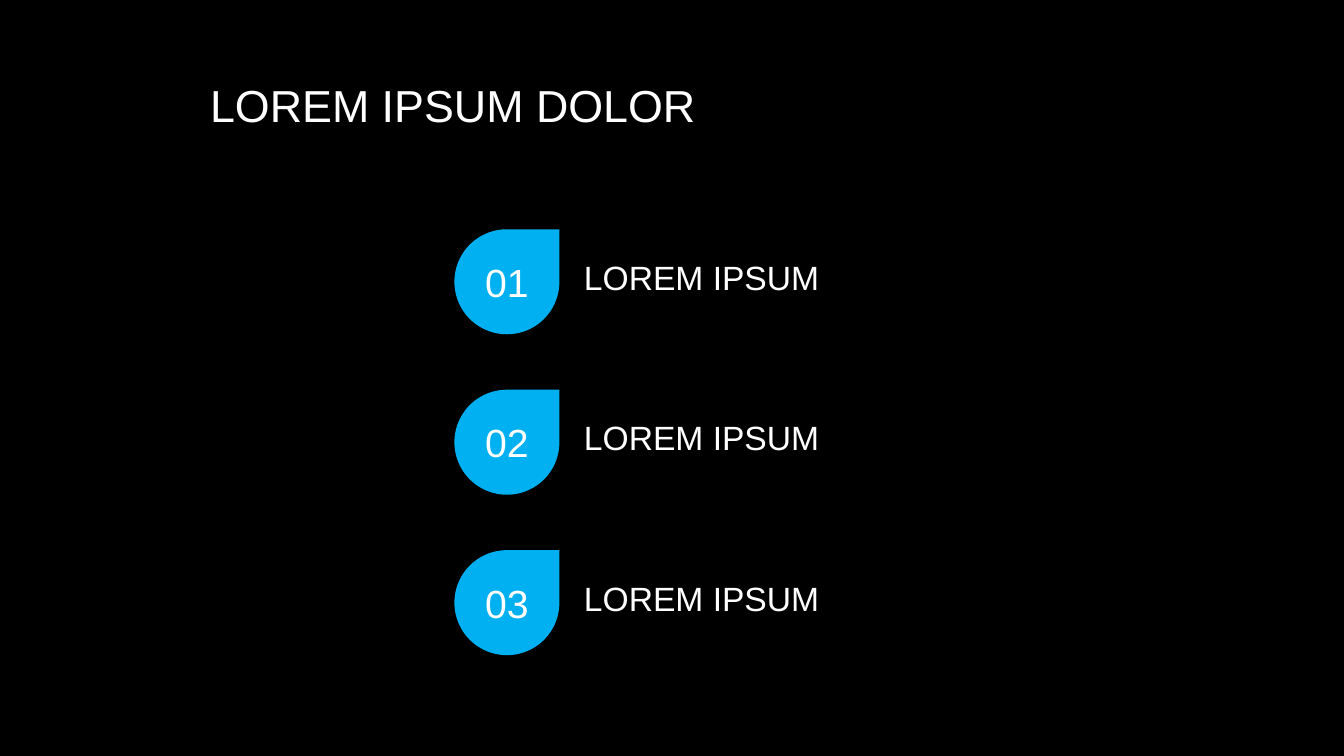
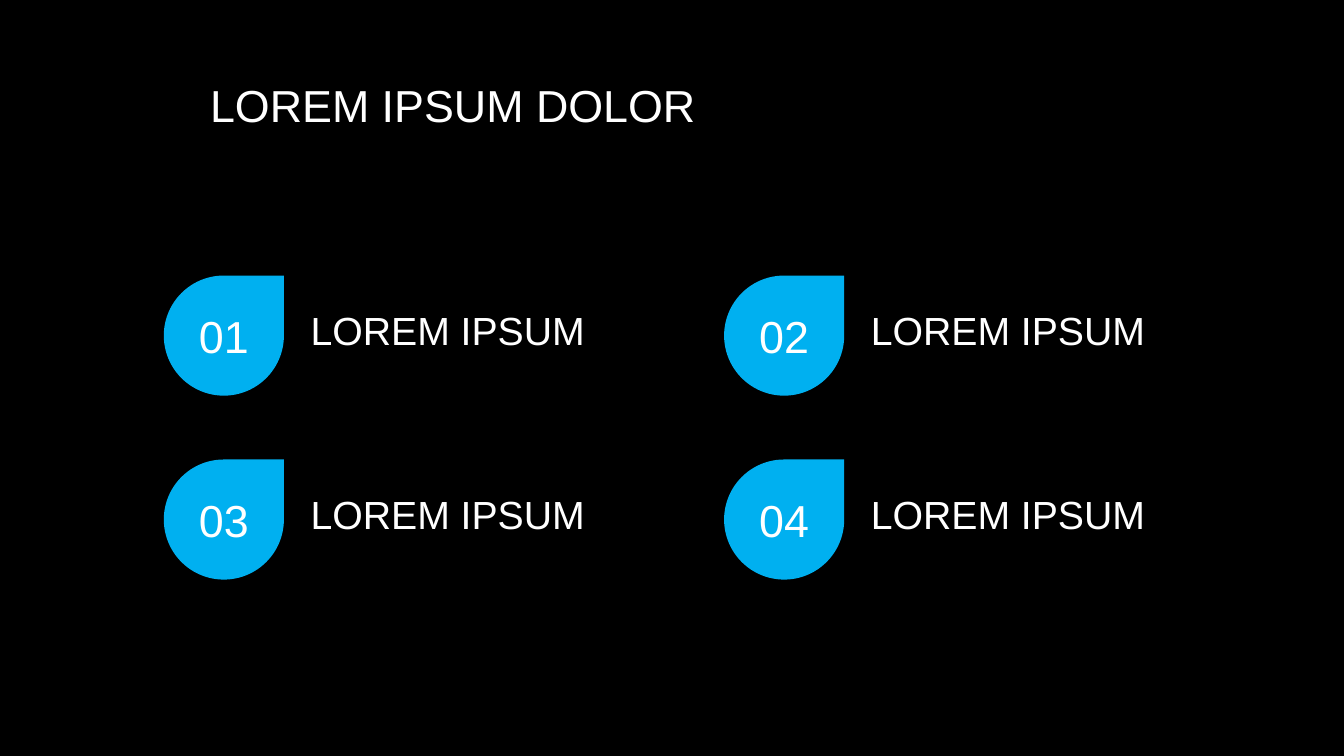
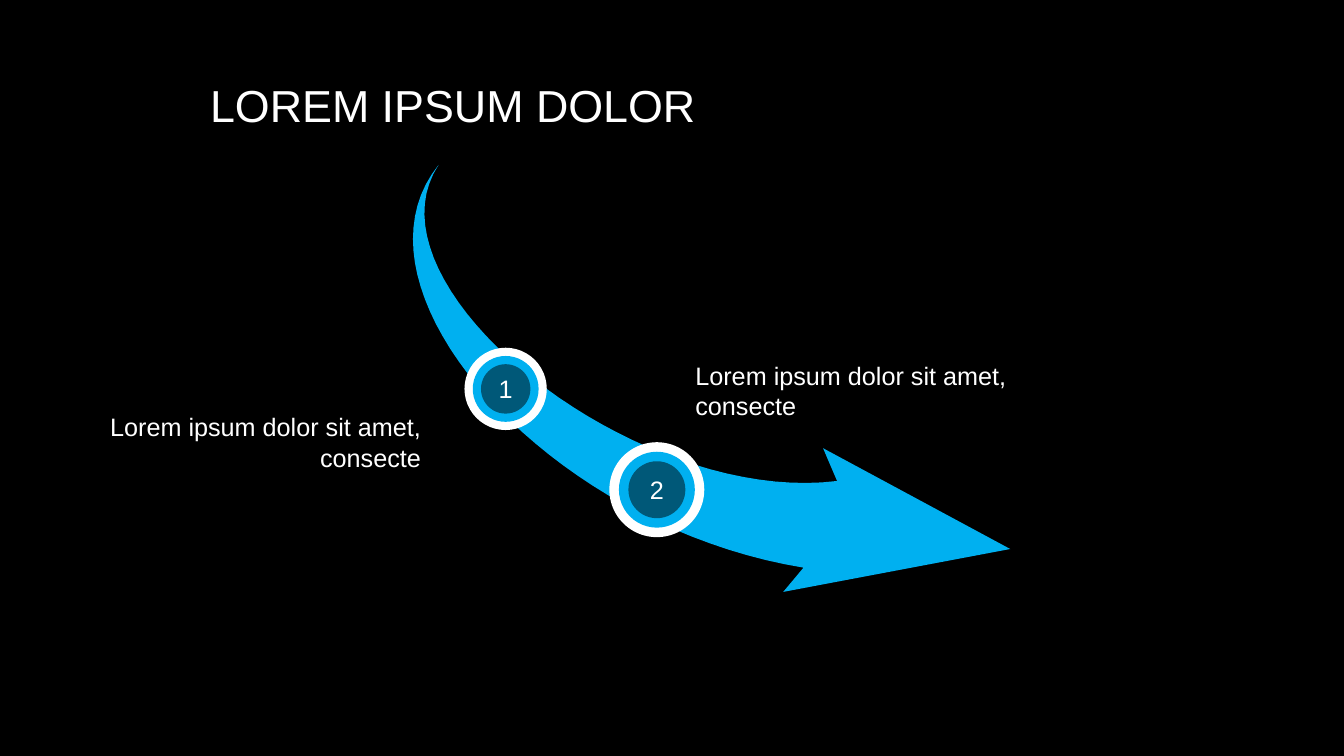
import dataclasses

import pptx
import pptx.dml.color
import pptx.enum.shapes
import pptx.enum.text
import pptx.util

SHAPE = pptx.enum.shapes.MSO_SHAPE
ALIGN = pptx.enum.text.PP_ALIGN
ANCHOR = pptx.enum.text.MSO_ANCHOR

COLUMNS, ROWS = 16, 9
CELL = pptx.util.Inches(13.3333) // COLUMNS


@dataclasses.dataclass(frozen=True)
class Theme:
    font: str = "Arial"
    background: str = "000000"
    text: str = "FFFFFF"
    accent: str = "00B0F0"
    accent_dark: str = "005878"
    title_size: int = 32
    body_size: int = 18


def cells(count):
    """Length of a number of grid cells; cells are square."""
    return pptx.util.Emu(round(count * CELL))


def rgb(value):
    return pptx.dml.color.RGBColor.from_string(value)


def curve(start, control_1, control_2, end, steps=40):
    """Points along a cubic Bezier curve, ends included."""
    points = []
    for step in range(steps + 1):
        t = step / steps
        weights = ((1 - t) ** 3, 3 * t * (1 - t) ** 2, 3 * t ** 2 * (1 - t), t ** 3)
        points.append(tuple(
            sum(weight * value for weight, value in zip(weights, axis))
            for axis in zip(start, control_1, control_2, end)))
    return points


class SlideBuilder:
    """Holds the theme and the current slide; lengths are grid cells."""

    def __init__(self, theme):
        self.theme = theme
        self.deck = pptx.Presentation()
        self.deck.slide_width = cells(COLUMNS)
        self.deck.slide_height = cells(ROWS)
        self.paint(self.deck.slide_master.background, theme.background)
        self.slide = None

    def paint(self, item, color):
        item.fill.solid()
        item.fill.fore_color.rgb = rgb(color)

    def set_text(self, shape, text, size, align=ALIGN.LEFT):
        frame = shape.text_frame
        frame.text = text
        frame.vertical_anchor = ANCHOR.MIDDLE
        frame.word_wrap = True
        frame.auto_size = pptx.enum.text.MSO_AUTO_SIZE.NONE
        para = frame.paragraphs[0]
        para.alignment = align
        para.font.name = self.theme.font
        para.font.size = pptx.util.Pt(size)
        para.font.color.rgb = rgb(self.theme.text)
        return para

    def finish(self, shape, color):
        self.paint(shape, color)
        shape.line.fill.background()
        shape.shadow.inherit = False

    def add_slide(self, title):
        self.slide = self.deck.slides.add_slide(self.deck.slide_layouts[5])
        box = self.slide.shapes.title
        box.left, box.top = cells(2.38), cells(0.42)
        box.width, box.height = cells(6.83), cells(1.74)
        self.set_text(box, title, self.theme.title_size).line_spacing = 0.9

    def text(self, text, left, top, width, height, size, align=ALIGN.LEFT):
        box = self.slide.shapes.add_textbox(*map(cells, (left, top, width, height)))
        self.set_text(box, text, size, align)

    def badge(self, kind, left, top, side, color, text="", size=0):
        """A square preset shape, with centred text if there is any."""
        shape = self.slide.shapes.add_shape(kind, *map(cells, (left, top, side, side)))
        self.finish(shape, color)
        if text:
            self.set_text(shape, text, size, ALIGN.CENTER)
            frame = shape.text_frame
            frame.word_wrap = False
            frame.margin_left = frame.margin_right = 0
            frame.margin_top = frame.margin_bottom = 0

    def numbered_items(self, labels, columns, origin, pitch, side, number_size, label_size):
        """Teardrops with labels, numbered row by row."""
        for index, label in enumerate(labels):
            row, column = divmod(index, columns)
            left = origin[0] + column * pitch[0]
            top = origin[1] + row * pitch[1]
            self.badge(SHAPE.TEAR, left, top, side, self.theme.accent,
                       f"{index + 1:02}", number_size)
            self.text(label, left + 1.14 * side, top + 0.02 * side,
                      2.88 * side, 0.87 * side, label_size)

    def ring(self, number, center, diameter):
        """Three concentric circles around a number."""
        theme = self.theme
        for share, color, text in ((1, theme.text, ""), (0.8, theme.accent, ""),
                                   (0.6, theme.accent_dark, number)):
            side = share * diameter
            self.badge(SHAPE.OVAL, center[0] - side / 2, center[1] - side / 2,
                       side, color, text, theme.body_size)

    def outline(self, points, rotation):
        start, *rest = [tuple(map(cells, point)) for point in points]
        builder = self.slide.shapes.build_freeform(*start)
        builder.add_line_segments(rest, close=True)
        shape = builder.convert_to_shape()
        self.finish(shape, self.theme.accent)
        shape.rotation = rotation


def main():
    title, label = "LOREM IPSUM DOLOR", "LOREM IPSUM"
    caption = "Lorem ipsum dolor sit amet, consecte"
    builder = SlideBuilder(Theme())

    builder.add_slide(title)
    builder.numbered_items([label] * 3, columns=1, origin=(5.41, 2.73), pitch=(0, 1.91),
                           side=1.25, number_size=28, label_size=24)

    builder.add_slide(title)
    builder.numbered_items([label] * 4, columns=2, origin=(1.95, 3.28), pitch=(6.67, 2.19),
                           side=1.43, number_size=32, label_size=28)

    builder.add_slide(title)
    tail = (4.74, 2.65)
    upper_edge = curve(tail, (4.09, 4.26), (7.84, 6.17), (10.13, 5.41))
    arrowhead = [(9.89, 5.06), (12.31, 5.8), (9.76, 6.83)]
    lower_edge = curve((9.94, 6.5), (6.86, 6.61), (3.86, 4.34), tail)
    builder.outline(upper_edge + arrowhead + lower_edge, rotation=11.3)
    builder.ring("1", center=(6.02, 4.63), diameter=0.98)
    builder.ring("2", center=(7.82, 5.83), diameter=1.13)
    for left, top, align in ((1.18, 4.68, ALIGN.RIGHT), (8.16, 4.07, ALIGN.LEFT)):
        builder.text(caption, left, top, 3.95, 1.16, builder.theme.body_size, align)

    builder.deck.save("out.pptx")


if __name__ == "__main__":
    main()
